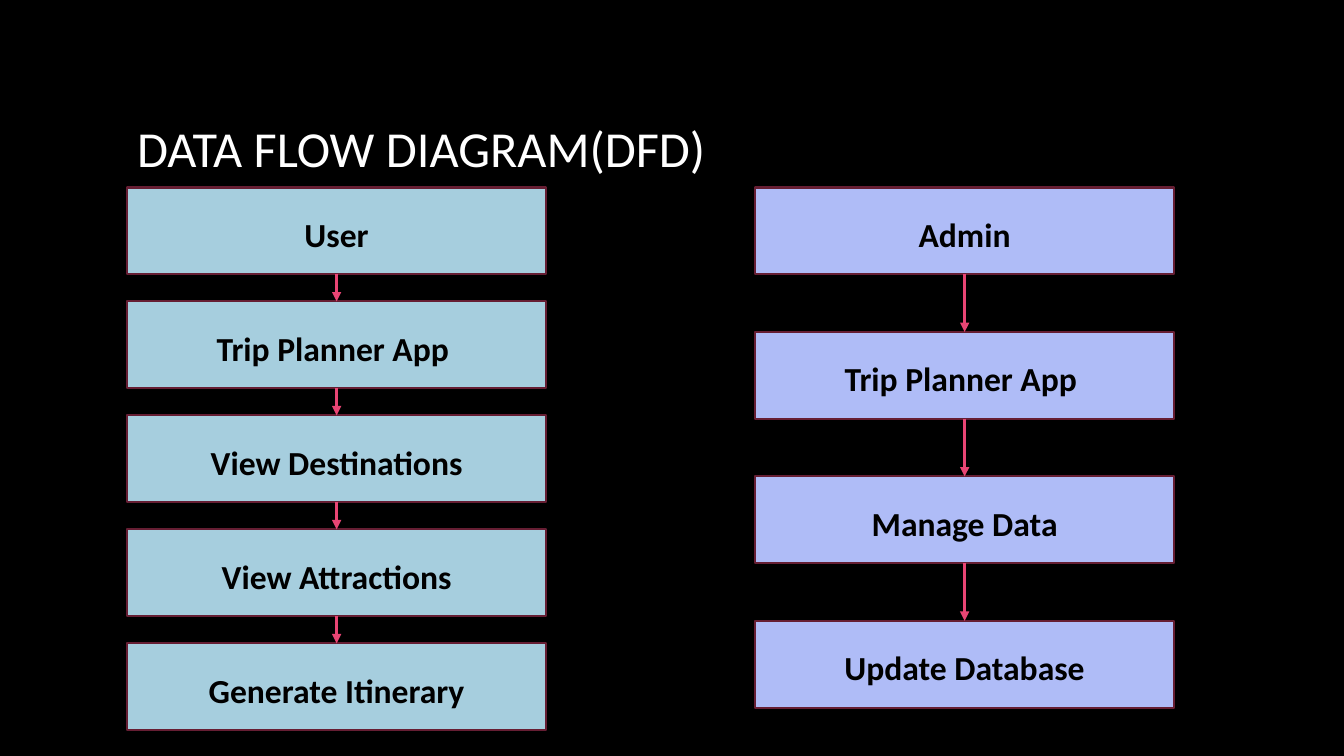
from lxml import etree
from pptx import Presentation
from pptx.dml.color import RGBColor
from pptx.enum import shapes, text
from pptx.oxml.ns import qn
from pptx.util import Pt

TITLE = "DATA FLOW DIAGRAM(DFD)"
FLOWS = [
    {"left": 90.7, "pitch": 81.4, "fill": "A6CEDE",
     "steps": ["User", "Trip Planner App ", "View Destinations",
               "View Attractions", "Generate Itinerary"]},
    {"left": 539.3, "pitch": 103.2, "fill": "AFBCF7",
     "steps": ["Admin", "Trip Planner App ", "Manage Data", "Update Database"]},
]
TOP, BOX_W, BOX_H = 133.9, 299.5, 62
FONT = "Calibri"
BLACK, WHITE, BORDER, ARROW = "000000", "FFFFFF", "661E33", "E84574"


def paint(target, color):
    """Set a solid colour on a fill, or on a font's fill."""
    target.solid()
    target.fore_color.rgb = RGBColor.from_string(color)


def format_run(r, size, color, bold=False):
    r.font.name, r.font.size, r.font.bold = FONT, Pt(size), bold
    paint(r.font.fill, color)


def add_step(s, label, left, top, fill):
    sp = s.shapes.add_shape(shapes.MSO_SHAPE.RECTANGLE,
                            Pt(left), Pt(top), Pt(BOX_W), Pt(BOX_H))
    sp.shadow.inherit = False
    paint(sp.fill, fill)
    paint(sp.line.fill, BORDER)
    sp.line.width = Pt(1.5)
    tf = sp.text_frame
    tf.text = label
    tf.vertical_anchor = text.MSO_ANCHOR.MIDDLE
    p = tf.paragraphs[0]
    p.alignment = text.PP_ALIGN.CENTER
    p.line_spacing = 1.15
    p.space_after = Pt(10)
    format_run(p.runs[0], 24, BLACK, True)


def add_arrow(s, x, top, bottom):
    c = s.shapes.add_connector(shapes.MSO_CONNECTOR.STRAIGHT,
                               Pt(x), Pt(top), Pt(x), Pt(bottom))
    paint(c.line.fill, ARROW)
    c.line.width = Pt(2.25)
    etree.SubElement(c.line._get_or_add_ln(), qn("a:tailEnd"), type="triangle")
    etree.SubElement(c._element.spPr, qn("a:effectLst"))


prs = Presentation()
prs.slide_width, prs.slide_height = Pt(960), Pt(540)
s = prs.slides.add_slide(prs.slide_layouts[5])
paint(s.background.fill, BLACK)

title = s.shapes.title
title.left, title.top, title.width, title.height = Pt(90.7), Pt(48.2), Pt(748.8), Pt(114.5)
tf = title.text_frame
tf.text = TITLE
tf.vertical_anchor = text.MSO_ANCHOR.MIDDLE
tf.paragraphs[0].alignment = text.PP_ALIGN.LEFT
format_run(tf.paragraphs[0].runs[0], 36, WHITE)

for flow in FLOWS:
    for i, label in enumerate(flow["steps"]):
        top = TOP + i * flow["pitch"]
        add_step(s, label, flow["left"], top, flow["fill"])
        if i:
            add_arrow(s, flow["left"] + BOX_W / 2, top - flow["pitch"] + BOX_H, top)

prs.save("out.pptx")
